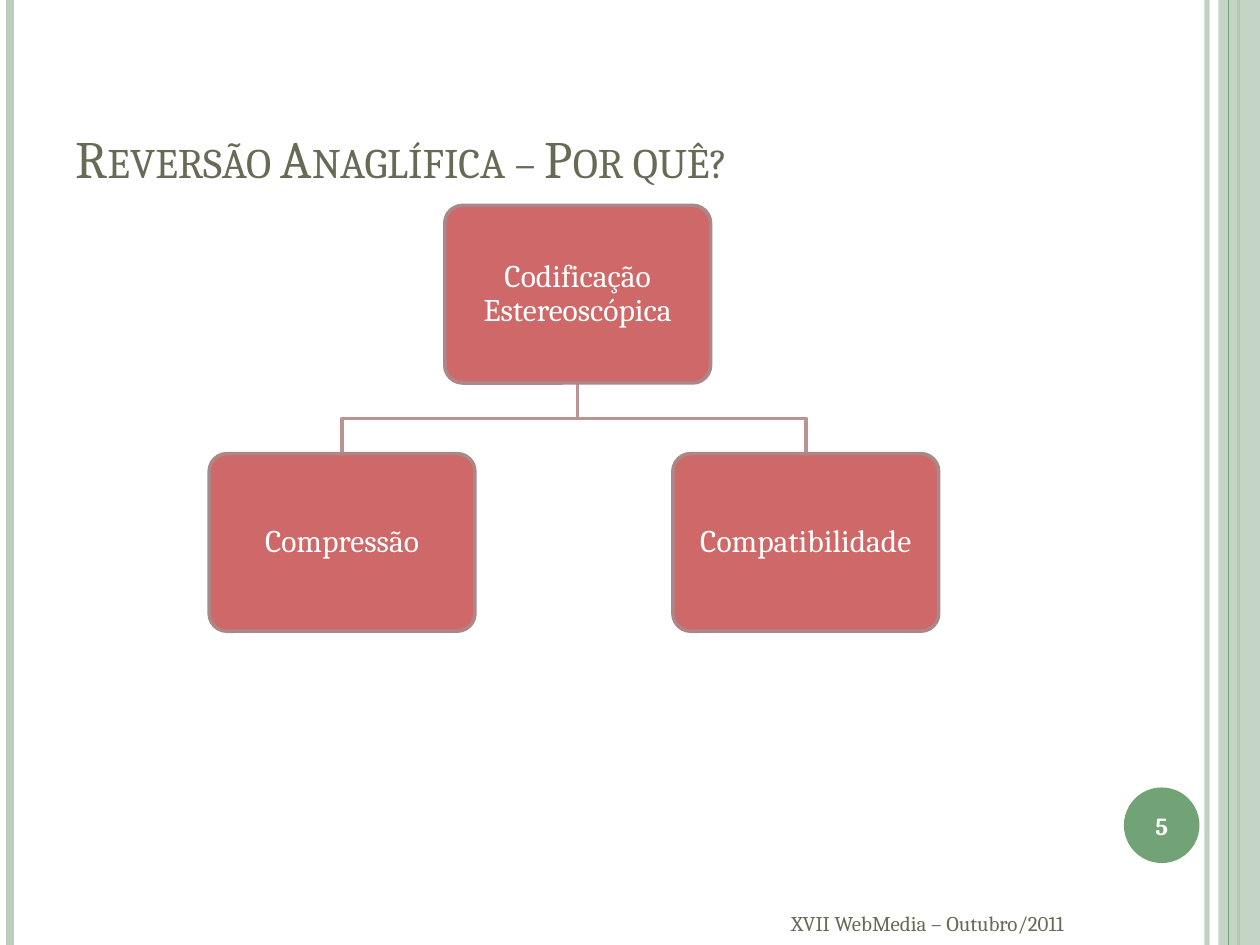
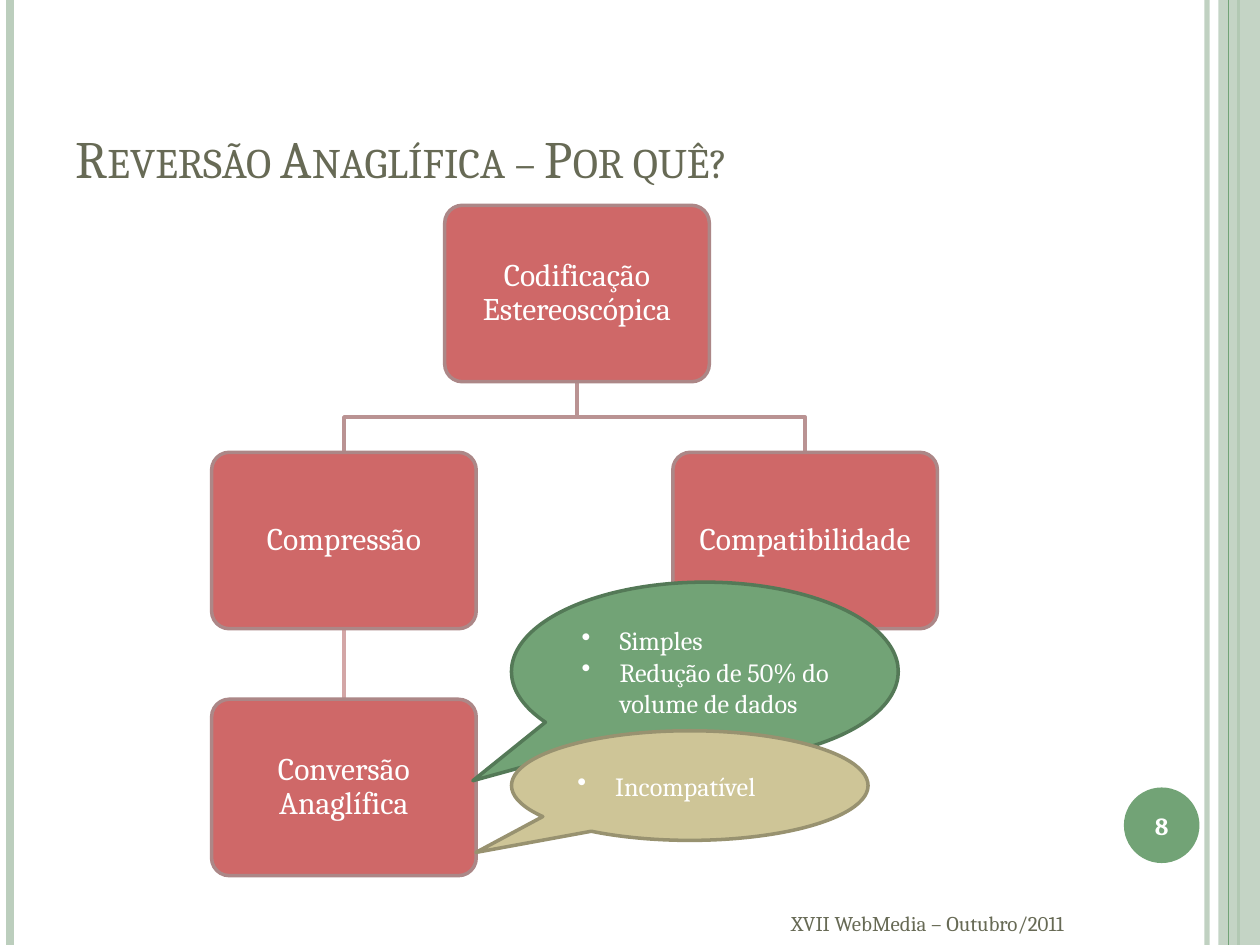
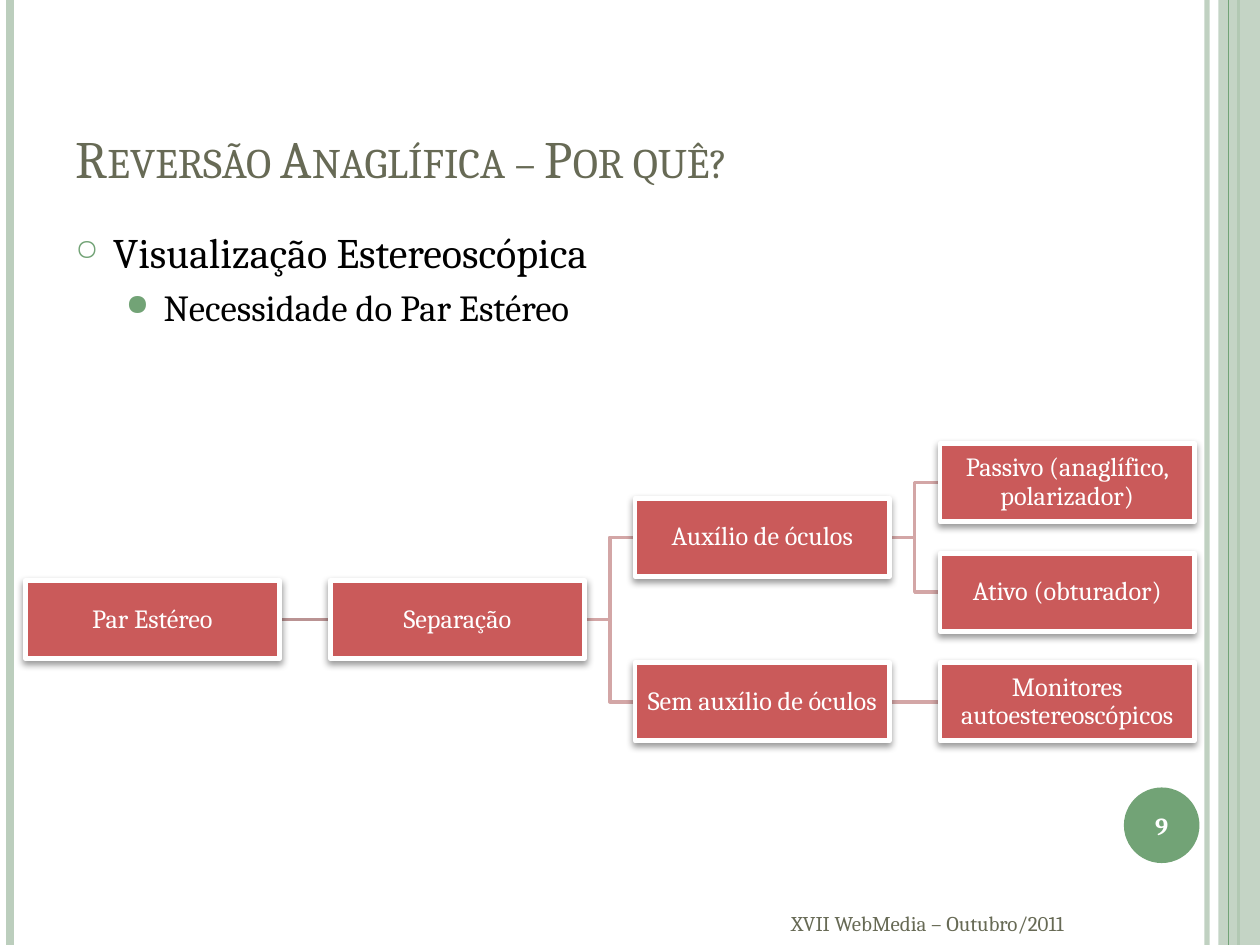
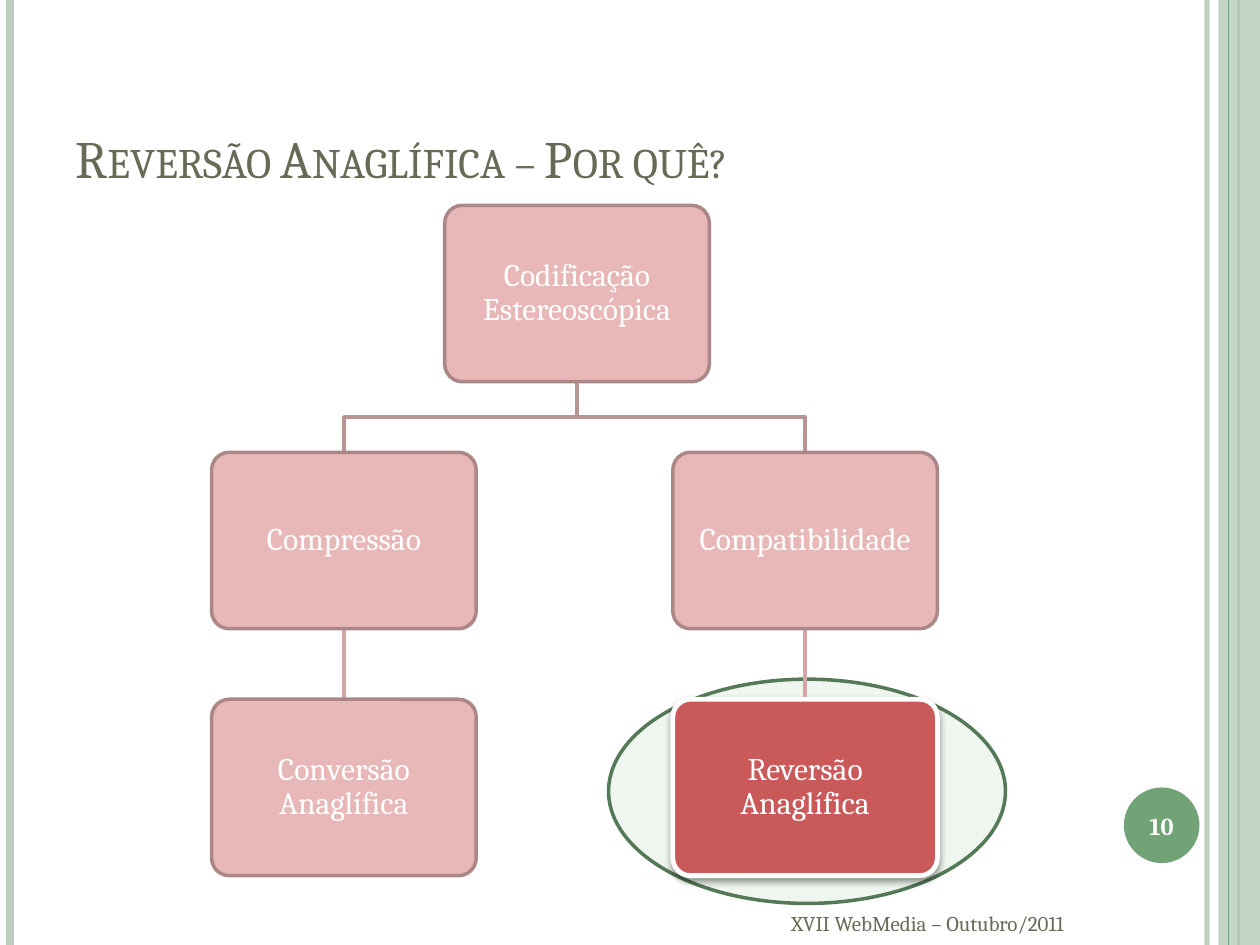
from lxml import etree
from pptx import Presentation
from pptx import util as u
from pptx.dml.color import RGBColor
from pptx.enum import shapes, text
from pptx.oxml import ns

GREEN, PALE_GREEN, DARK_GREEN = "72A376", "BCCEBD", "547957"
OLIVE, WHITE = "676A55", "FFFFFF"
LEFT, CENTER = text.PP_ALIGN.LEFT, text.PP_ALIGN.CENTER
TOP, MIDDLE, BOTTOM = text.MSO_ANCHOR.TOP, text.MSO_ANCHOR.MIDDLE, text.MSO_ANCHOR.BOTTOM


def color(value):
    return RGBColor.from_string(value)


def write(shape, content, size, fill=WHITE, bold=None, align=LEFT, anchor=MIDDLE, inset=None,
          line_spacing=None, before=0, small_caps=False, bullet=None, indent=0.3,
          bullet_color=WHITE, bullet_percent=100):
    frame = shape.text_frame
    frame.word_wrap = True
    frame.vertical_anchor = anchor
    if inset is not None:
        frame.margin_left = frame.margin_right = u.Inches(inset)
        frame.margin_top = frame.margin_bottom = u.Inches(inset)
    paragraph = frame.add_paragraph() if frame.text else frame.paragraphs[0]
    paragraph.alignment = align
    paragraph.line_spacing = line_spacing
    paragraph.space_before = u.Pt(before)
    run = paragraph.add_run()
    run.text = content
    run.font.name = "Cambria"
    run.font.size = u.Pt(size)
    run.font.bold = bold
    run.font.color.rgb = color(fill)
    if small_caps:
        run._r.get_or_add_rPr().set("cap", "small")
    if bullet:
        properties = paragraph._p.get_or_add_pPr()
        properties.set("marL", str(u.Inches(indent)))
        properties.set("indent", str(-u.Inches(0.3)))
        bullet_fill = etree.SubElement(properties, ns.qn("a:buClr"))
        etree.SubElement(bullet_fill, ns.qn("a:srgbClr"), val=bullet_color)
        etree.SubElement(properties, ns.qn("a:buSzPct"), val=str(bullet_percent * 1000))
        etree.SubElement(properties, ns.qn("a:buChar"), char=bullet)


presentation = Presentation()
presentation.slide_width = u.Inches(10)
presentation.slide_height = u.Inches(7.5)

bands = [
    ("line", 9.58, 3, PALE_GREEN, 93),
    ("line", 0.08, 4.5, PALE_GREEN, 100),
    ("line", 9.83, 1.5, GREEN, 100),
    ("block", 9.67, 0.33, PALE_GREEN, 87),
    ("line", 9.75, 0.75, GREEN, 100),
]

slides = {}
for number in (5, 8, 9, 10):
    slide = slides[number] = presentation.slides.add_slide(presentation.slide_layouts[6])

    for kind, left, width, fill, opacity in bands:
        if kind == "line":
            band = slide.shapes.add_connector(
                shapes.MSO_CONNECTOR.STRAIGHT, u.Inches(left), 0, u.Inches(left), u.Inches(7.5))
            band.line.color.rgb = color(fill)
            band.line.width = u.Pt(width)
            etree.SubElement(band.element.spPr, ns.qn("a:effectLst"))
        else:
            band = slide.shapes.add_shape(
                shapes.MSO_SHAPE.RECTANGLE, u.Inches(left), 0, u.Inches(width), u.Inches(7.5))
            band.fill.solid()
            band.fill.fore_color.rgb = color(fill)
            band.line.fill.background()
            band.shadow.inherit = False
        if opacity < 100:
            for tint in list(band.element.spPr.iter(ns.qn("a:srgbClr"))):
                etree.SubElement(tint, ns.qn("a:alpha"), val=str(opacity * 1000))

    badge = slide.shapes.add_shape(
        shapes.MSO_SHAPE.OVAL, u.Inches(8.92), u.Inches(6.25), u.Inches(0.6), u.Inches(0.6))
    badge.fill.solid()
    badge.fill.fore_color.rgb = color(GREEN)
    badge.line.fill.background()
    badge.shadow.inherit = False
    write(badge, str(number), 14, bold=True, align=CENTER, inset=0)

    title = slide.shapes.add_textbox(u.Inches(0.5), u.Inches(0.3), u.Inches(8.17), u.Inches(1.25))
    write(title, "Reversão Anaglífica – Por quê?", 30, fill=OLIVE, anchor=BOTTOM, small_caps=True)

    footer = slide.shapes.add_textbox(u.Inches(6.18), u.Inches(7.14), u.Inches(3.23), u.Inches(0.37))
    write(footer, "XVII WebMedia – Outubro/2011", 12, fill=OLIVE)

body = slides[9].shapes.add_textbox(u.Inches(0.5), u.Inches(1.75), u.Inches(8.17), u.Inches(5.33))
write(body, "Visualização Estereoscópica", 24, fill="000000", anchor=TOP, before=6,
      bullet="○", bullet_color=GREEN, bullet_percent=70)
write(body, "Necessidade do Par Estéreo", 21, fill="000000", anchor=TOP, before=4.2,
      bullet="●", indent=0.7, bullet_color=GREEN, bullet_percent=80)

highlight = slides[10].shapes.add_shape(
    shapes.MSO_SHAPE.OVAL, u.Inches(4.83), u.Inches(5.39), u.Inches(3.15), u.Inches(1.78))
highlight.fill.solid()
highlight.fill.fore_color.rgb = color("EFF5EF")
highlight.line.color.rgb = color(DARK_GREEN)
highlight.line.width = u.Pt(2)
highlight.shadow.inherit = False

styles = {
    "plain": ("CF6868", "AC8787", 2),
    "faded": ("E8B7B7", "AC8787", 2),
    "strong": ("CA5A5A", WHITE, 2.75),
}
tree = [
    ("Codificação Estereoscópica", 1, 0, None),
    ("Compressão", 0, 1, 0),
    ("Compatibilidade", 2, 1, 0),
    ("Conversão Anaglífica", 0, 2, 1),
    ("Reversão Anaglífica", 2, 2, 2),
]
separation = [
    ("Par Estéreo", 0, 1.25, None),
    ("Separação", 1, 1.25, 0),
    ("Auxílio de óculos", 2, 0.5, 1),
    ("Passivo (anaglífico, polarizador)", 3, 0, 2),
    ("Ativo (obturador)", 3, 1, 2),
    ("Sem auxílio de óculos", 2, 2, 1),
    ("Monitores autoestereoscópicos", 3, 2, 5),
]
tree_columns = (1.68, 3.53, 5.34)
separation_columns = [0.2 + 2.42 * column for column in range(4)]
diagrams = [
    (5, tree[:3], ["plain"] * 3, (1.66, 3.53, 5.34), 1.63, 1.97, 2.11, 1.41),
    (8, tree[:4], ["plain"] * 4, tree_columns, 1.63, 1.96, 2.1, 1.4),
    (9, separation, ["strong"] * 7, separation_columns, 3.52, 0.87, 2.02, 0.62),
    (10, tree, ["faded"] * 4 + ["strong"], tree_columns, 1.63, 1.96, 2.1, 1.4),
]

for number, nodes, node_styles, columns, first_top, row_step, width, height in diagrams:
    slide = slides[number]
    vertical = number != 9
    outline = shapes.MSO_SHAPE.ROUNDED_RECTANGLE if vertical else shapes.MSO_SHAPE.RECTANGLE
    places = [(columns[column], first_top + row_step * row) for label, column, row, parent in nodes]

    joints = []
    for child, (label, column, row, parent) in enumerate(nodes):
        if parent is None:
            continue
        (start_x, start_y), (end_x, end_y) = places[parent], places[child]
        if vertical:
            start_x, start_y, end_x = start_x + width / 2, start_y + height, end_x + width / 2
            middle = (start_y + end_y) / 2
            bends = [(start_x, middle), (end_x, middle)]
            straight = start_x == end_x
        else:
            start_x, start_y, end_y = start_x + width, start_y + height / 2, end_y + height / 2
            middle = (start_x + end_x) / 2
            bends = [(middle, start_y), (middle, end_y)]
            straight = start_y == end_y
        if straight:
            link = slide.shapes.add_connector(
                shapes.MSO_CONNECTOR.STRAIGHT, u.Inches(start_x), u.Inches(start_y),
                u.Inches(end_x), u.Inches(end_y))
            joints.append((link, parent, child))
        else:
            builder = slide.shapes.build_freeform(u.Inches(start_x), u.Inches(start_y))
            corners = bends + [(end_x, end_y)]
            builder.add_line_segments([(u.Inches(x), u.Inches(y)) for x, y in corners], close=False)
            link = builder.convert_to_shape()
            link.fill.background()
            link.shadow.inherit = False
        link.line.color.rgb = color("BA9393" if parent == 0 else "D3A6A6")
        link.line.width = u.Pt(2)
        if straight:
            etree.SubElement(link.element.spPr, ns.qn("a:effectLst"))

    boxes = []
    for (label, column, row, parent), (left, top), style in zip(nodes, places, node_styles):
        fill, border, border_width = styles[style]
        box = slide.shapes.add_shape(
            outline, u.Inches(left), u.Inches(top), u.Inches(width), u.Inches(height))
        box.fill.solid()
        box.fill.fore_color.rgb = color(fill)
        box.line.color.rgb = color(border)
        box.line.width = u.Pt(border_width)
        box.shadow.inherit = False
        if vertical:
            box.adjustments[0] = 0.1
        if style == "strong":
            effects = box.element.spPr.find(ns.qn("a:effectLst"))
            shadow = etree.SubElement(
                effects, ns.qn("a:outerShdw"), blurRad=str(u.Pt(4)), dist=str(u.Pt(2)),
                dir="5400000", rotWithShape="0")
            shadow_color = etree.SubElement(shadow, ns.qn("a:srgbClr"), val="000000")
            etree.SubElement(shadow_color, ns.qn("a:alpha"), val="40000")
        write(box, label, 18 if vertical else 15, align=CENTER,
              inset=0.07 if vertical else 0.01, line_spacing=0.9)
        boxes.append(box)

    begin_side, end_side = (2, 0) if vertical else (3, 1)
    for link, parent, child in joints:
        link.begin_connect(boxes[parent], begin_side)
        link.end_connect(boxes[child], end_side)

callouts = [
    (4.62, 3.07, 1.42, GREEN, DARK_GREEN, ["Simples", "Redução de 50% do volume de dados"]),
    (5.8, 2.83, 0.87, "CEC597", "989270", ["Incompatível"]),
]
for top, width, height, fill, border, remarks in callouts:
    callout = slides[8].shapes.add_shape(
        shapes.MSO_SHAPE.OVAL_CALLOUT, u.Inches(4.06), u.Inches(top), u.Inches(width), u.Inches(height))
    callout.adjustments[0] = -0.6
    callout.adjustments[1] = 0.61
    callout.fill.solid()
    callout.fill.fore_color.rgb = color(fill)
    callout.line.color.rgb = color(border)
    callout.line.width = u.Pt(2)
    callout.shadow.inherit = False
    for remark in remarks:
        write(callout, remark, 15, bullet="•", indent=0.31)

presentation.save("out.pptx")
